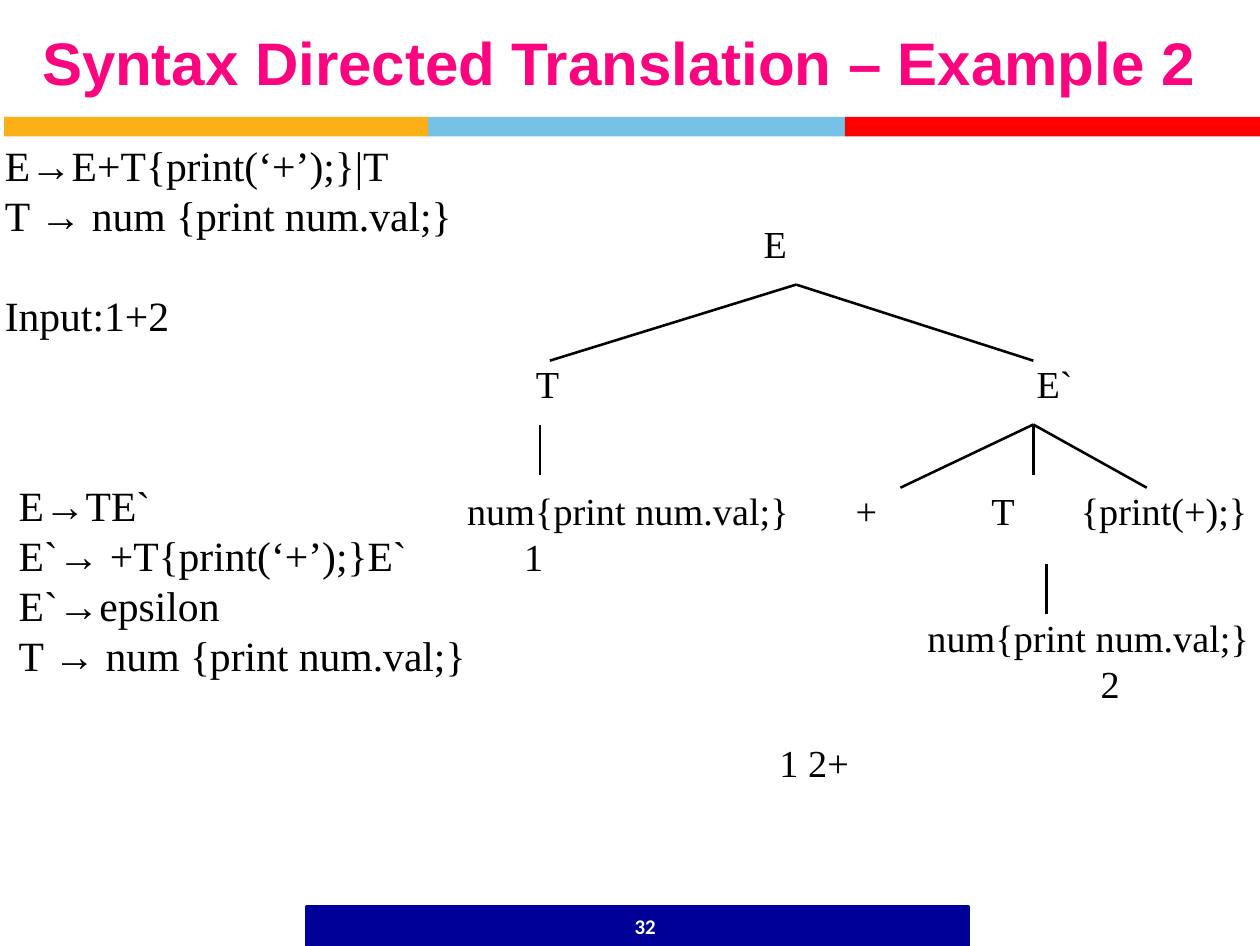
"""Build the slide on syntax directed translation, example 2."""
from lxml import etree
from pptx import Presentation
from pptx.dml.color import RGBColor
from pptx.enum import shapes, text
from pptx.oxml.ns import qn
from pptx.util import Pt

BLACK = RGBColor(0x00, 0x00, 0x00)
WHITE = RGBColor(0xFF, 0xFF, 0xFF)
PINK = RGBColor(0xFC, 0x04, 0x80)
GOLD = RGBColor(0xFC, 0xB0, 0x17)
SKY = RGBColor(0x76, 0xC2, 0xE5)
RED = RGBColor(0xFF, 0x00, 0x00)
NAVY = RGBColor(0x00, 0x00, 0x99)

BARS = [(122.9, 120.5, SKY), (1.2, 122.2, GOLD), (243.4, 120.2, RED)]
RULES = ["E→E+T{print(‘+’);}|T", "T → num {print num.val;}", "Input:1+2"]
FIXED = ["E→TE`", "E`→ +T{print(‘+’);}E`", "E`→epsilon",
         "T → num {print num.val;}"]
NODES = [
    ("E", 220, 63.4, 12),
    ("T", 154.4, 103.7, 12),
    ("E`", 298.7, 103.7, 16),
    ("num{print num.val;}", 134.6, 140.4, 98),
    ("1", 151, 153.6, 10),
    ("+", 246.5, 140.4, 12),
    ("T", 285.6, 140.4, 12),
    ("{print(+);}", 311.4, 140.4, 51),
    ("num{print num.val;}", 267.2, 177.1, 95),
    ("2", 317.1, 190.3, 10),
    ("1 2+", 224.6, 213.1, 30),
]
ROOT = (229.4, 82)
TAIL = (297.7, 122.3)
EDGES = [
    (ROOT, (158.4, 103.9)),
    (ROOT, (297.7, 103.9)),
    ((155.6, 122.3), (155.6, 136.8)),
    (TAIL, (259.4, 140.5)),
    (TAIL, (330.4, 140.5)),
    (TAIL, (297.7, 136.8)),
    ((301.5, 162.6), (301.5, 177)),
]


def bar(slide, x, y, w, h, fill):
    """Draw a plain filled bar."""
    box = slide.shapes.add_shape(shapes.MSO_SHAPE.RECTANGLE,
                                 Pt(x), Pt(y), Pt(w), Pt(h))
    box.shadow.inherit = False
    box.fill.solid()
    box.fill.fore_color.rgb = fill
    box.line.fill.background()
    return box


def label(slide, lines, x, y, w, h, size, face="Times New Roman",
          color=BLACK, bold=False):
    """Place lines of text in a box without margins."""
    box = slide.shapes.add_textbox(Pt(x), Pt(y), Pt(w), Pt(h))
    frame = box.text_frame
    frame.margin_left = frame.margin_right = 0
    frame.margin_top = frame.margin_bottom = 0
    frame.word_wrap = True
    frame.text = "\n".join(lines)
    for para in frame.paragraphs:
        para.line_spacing = Pt(size * 1.2)
        for run in para.runs:
            font = run.font
            font.size, font.name, font.bold = Pt(size), face, bold
            font.color.rgb = color
    return frame


def center(frame, space):
    """Center a line of text in its box."""
    frame.vertical_anchor = text.MSO_ANCHOR.MIDDLE
    para = frame.paragraphs[0]
    para.alignment = text.PP_ALIGN.CENTER
    para.line_spacing = space


def edge(slide, start, end):
    """Draw a branch of the parse tree."""
    line = slide.shapes.add_connector(shapes.MSO_CONNECTOR.STRAIGHT,
                                      *map(Pt, start + end))
    line.line.color.rgb = BLACK
    line.line.width = Pt(0.75)
    etree.SubElement(line._element.spPr, qn("a:effectLst"))


def main():
    """Build and save the slide."""
    deck = Presentation()
    deck.slide_width, deck.slide_height = Pt(363), Pt(272.5)
    slide = deck.slides.add_slide(deck.slide_layouts[6])

    for x, width, fill in BARS:
        bar(slide, x, 33.7, width, 5.6, fill)
    foot = bar(slide, 88.3, 261.1, 190.6, 11.4, NAVY)
    foot.line.color.rgb = NAVY
    foot.line.width = Pt(1)

    title = label(slide, ["Syntax Directed Translation – Example 2"],
                  4.4, 6.8, 347.8, 24.5, 17.3, "Arial", PINK, True)
    center(title, 0.9)
    page = label(slide, ["32"], 145.2, 259.7, 81.4, 14.4, 6,
                 "Calibri", WHITE, True)
    center(page, 1.0)

    rules = label(slide, RULES, 1.4, 40.3, 140, 58, 12)
    rules.paragraphs[-1].space_before = Pt(14.4)
    label(slide, FIXED, 5.4, 138.2, 130, 58, 12)

    for name, x, y, width in NODES:
        label(slide, [name], x, y, width, 13.2, 11)
    for start, end in EDGES:
        edge(slide, start, end)
    deck.save("out.pptx")


if __name__ == "__main__":
    main()
